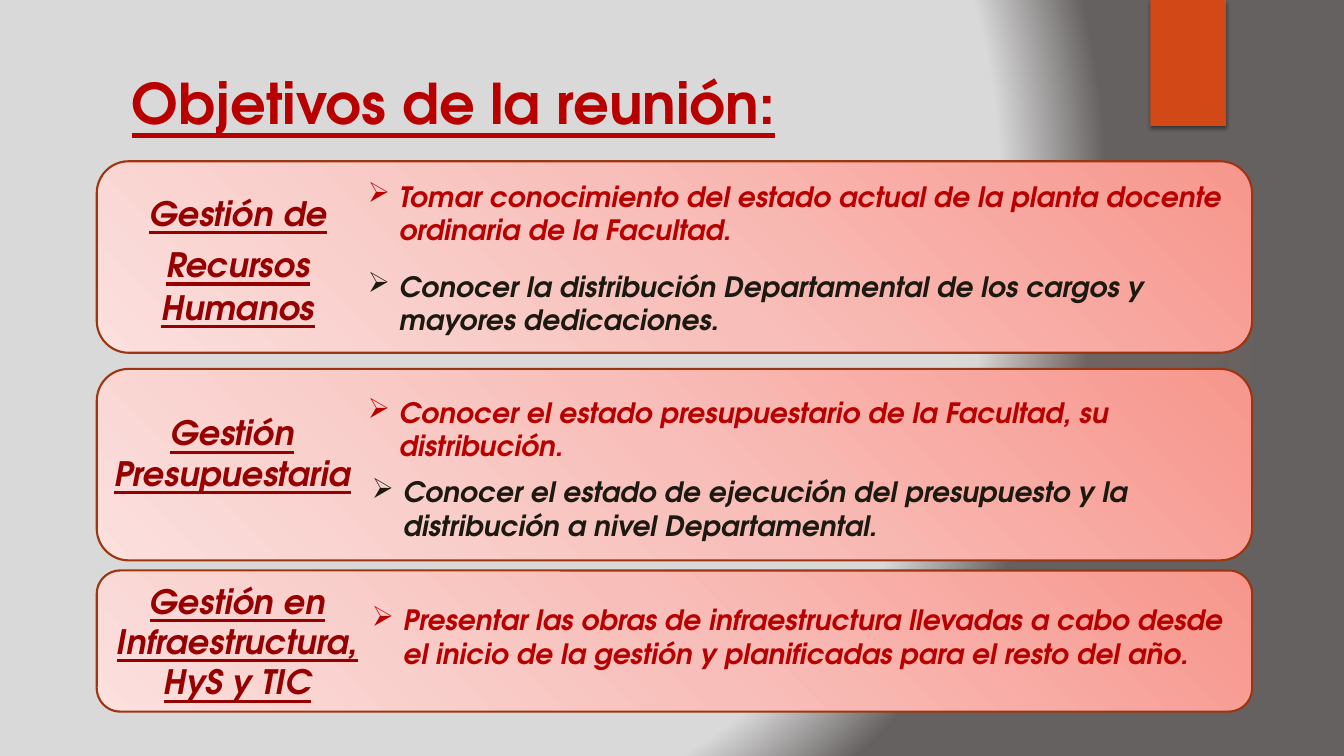
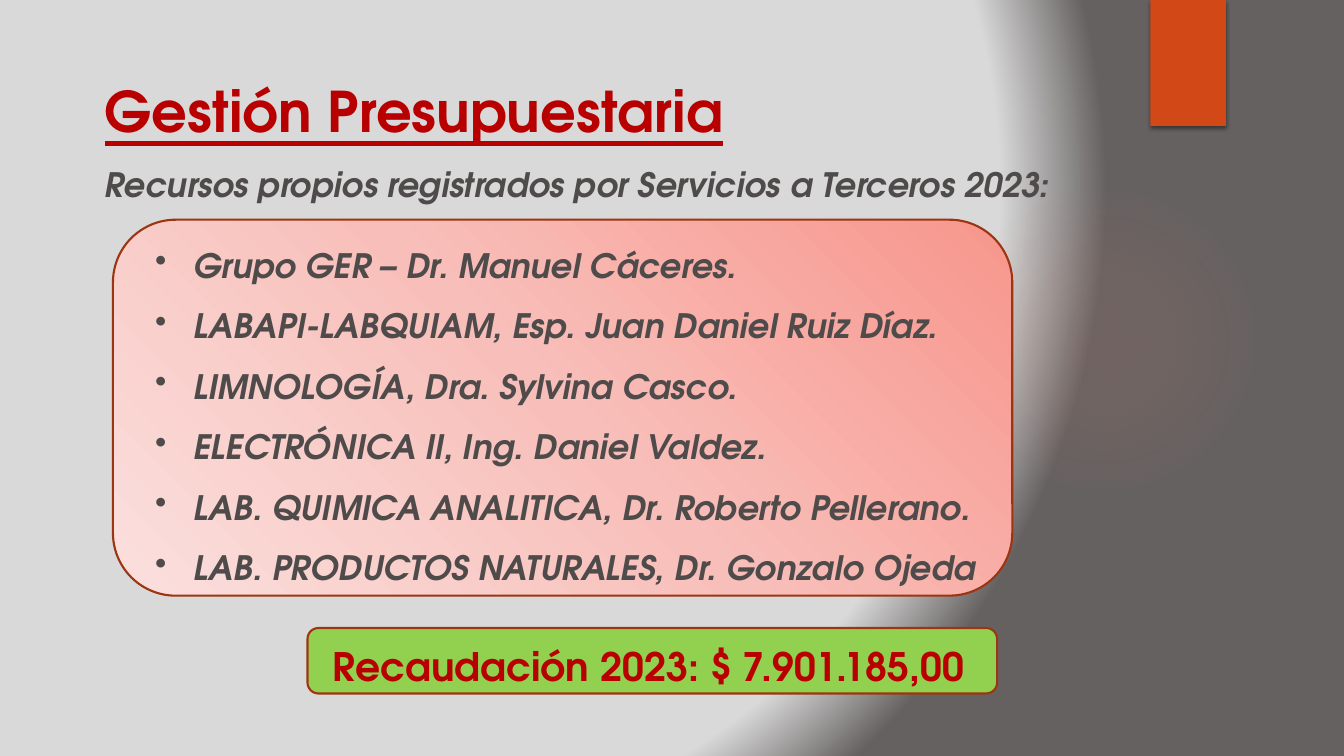
import pptx
import pptx.util
import pptx.oxml
import pptx.oxml.ns
import pptx.dml.color
import pptx.enum.shapes
import pptx.enum.text

Inches = pptx.util.Inches
Pt = pptx.util.Pt
RGBColor = pptx.dml.color.RGBColor
SHAPE = pptx.enum.shapes.MSO_SHAPE
ALIGN = pptx.enum.text.PP_ALIGN
qn = pptx.oxml.ns.qn
NAMESPACE = pptx.oxml.ns.nsdecls("a")

FONT = "TeX Gyre Adventor"
RED = RGBColor(0xB8, 0x00, 0x00)
DARK_RED = RGBColor(0x96, 0x00, 0x00)
INK = RGBColor(0x1C, 0x19, 0x11)
GREY = RGBColor(0x4F, 0x4B, 0x4B)
ORANGE = RGBColor(0xD3, 0x48, 0x17)
BROWN = RGBColor(0x9C, 0x35, 0x11)
GREEN = RGBColor(0x92, 0xD0, 0x50)
LIGHT_GREY = RGBColor(0xD9, 0xD9, 0xD9)
DARK_GREY = RGBColor(0x66, 0x61, 0x61)
GLOW = RGBColor(0xEF, 0x8C, 0x6A)
CORAL = RGBColor(0xF7, 0x96, 0x8C)
PINK = RGBColor(0xF8, 0xBF, 0xBA)
PALE_PINK = RGBColor(0xFB, 0xE0, 0xDE)


def set_gradient(fill, owner, stops, angle=None, focus=None):
    """Stops are (position, colour, opacity) in percent; focus is left, top, right, bottom."""
    fill.solid()
    stop_xml = "".join(
        f'<a:gs pos="{position * 1000}"><a:srgbClr val="{color}">'
        f'<a:alpha val="{opacity * 1000}"/></a:srgbClr></a:gs>'
        for position, color, opacity in stops)
    if focus:
        sides = " ".join(f'{side}="{value * 1000}"' for side, value in zip("ltrb", focus))
        direction = f'<a:path path="circle"><a:fillToRect {sides}/></a:path>'
    else:
        direction = f'<a:lin ang="{angle * 60000}" scaled="0"/>'
    gradient = pptx.oxml.parse_xml(
        f'<a:gradFill {NAMESPACE} rotWithShape="1"><a:gsLst>{stop_xml}</a:gsLst>'
        f'{direction}</a:gradFill>')
    owner.replace(owner.find(qn("a:solidFill")), gradient)


def write_text(page, text, at, size=24, color=RED, italic=True, underline=False,
               align=ALIGN.LEFT, bullet=None, indent=0, spacing=None):
    """Text is a string or a list of paragraphs; a paragraph may be a list of (text, size)."""
    box = page.shapes.add_textbox(*[Inches(value) for value in at])
    frame = box.text_frame
    frame.word_wrap = True
    for index, content in enumerate(text if isinstance(text, list) else [text]):
        para = frame.add_paragraph() if index else frame.paragraphs[0]
        para.alignment = align
        if spacing:
            para.line_spacing = spacing
        if bullet:
            properties = para._p.get_or_add_pPr()
            properties.set("marL", str(Inches(indent)))
            properties.set("indent", str(-Inches(indent)))
            properties.append(pptx.oxml.parse_xml(f'<a:buChar {NAMESPACE} char="{bullet}"/>'))
        for words, points in [(content, size)] if isinstance(content, str) else content:
            span = para.add_run()
            span.text = words
            span.font.name = FONT
            span.font.size = Pt(points)
            span.font.bold = True
            span.font.italic = italic
            span.font.underline = underline
            span.font.color.rgb = color


deck = pptx.Presentation()
deck.slide_width = Inches(13.33)
deck.slide_height = Inches(7.5)

# Shared background
master = deck.slide_master
background_fill = master.background.fill
background_fill.solid()
set_gradient(background_fill, master.element.find(".//" + qn("p:bgPr")),
             [(86, LIGHT_GREY, 100), (100, DARK_GREY, 100)], focus=(50, 50, 100, 100))

# Shared glow and orange tab
goals, budget = pages = [deck.slides.add_slide(deck.slide_layouts[6]) for _ in range(2)]
for page in pages:
    glow = page.shapes.add_shape(SHAPE.OVAL, Inches(9.41), Inches(1.83), Inches(3.08), Inches(3.08))
    glow.shadow.inherit = False
    glow.line.fill.background()
    set_gradient(glow.fill, glow.element.spPr,
                 [(0, GLOW, 7), (36, GLOW, 6), (69, GLOW, 0)], focus=(50, 50, 50, 50))
    tab = page.shapes.add_shape(SHAPE.RECTANGLE, Inches(11.41), 0, Inches(0.75), Inches(1.25))
    tab.shadow.inherit = False
    tab.fill.solid()
    tab.fill.fore_color.rgb = ORANGE
    tab.line.fill.background()
    tab.element.spPr.find(qn("a:effectLst")).append(pptx.oxml.parse_xml(
        f'<a:outerShdw {NAMESPACE} blurRad="{Pt(3)}" dist="{Pt(2)}" dir="5400000" rotWithShape="0">'
        '<a:srgbClr val="000000"><a:alpha val="45000"/></a:srgbClr></a:outerShdw>'))

# Rounded panels: page, position, solid colour or None for the pink gradient
panels = [
    (goals, (0.96, 5.66, 11.46, 1.4), None),
    (goals, (0.96, 3.66, 11.46, 1.9), None),
    (goals, (0.96, 1.6, 11.46, 1.9), None),
    (budget, (1.12, 2.18, 8.92, 3.73), None),
    (budget, (3.05, 6.23, 6.84, 0.65), GREEN),
]
for page, at, color in panels:
    panel = page.shapes.add_shape(SHAPE.ROUNDED_RECTANGLE, *[Inches(value) for value in at])
    panel.shadow.inherit = False
    panel.line.color.rgb = BROWN
    panel.line.width = Pt(1.5)
    if color:
        panel.fill.solid()
        panel.fill.fore_color.rgb = color
    else:
        set_gradient(panel.fill, panel.element.spPr,
                     [(0, CORAL, 100), (50, PINK, 100), (100, PALE_PINK, 100)], angle=135)

# Titles
for page, title, at in [(goals, "Objetivos de la reunión:", (1.21, 0.63, 7.13, 0.98)),
                        (budget, "Gestión Presupuestaria", (0.94, 0.71, 9.27, 0.87))]:
    write_text(page, title, at, size=40, italic=False, underline=True)

# Slide 1: areas and their goals
areas = [
    ([[("Gestión de Recursos", 24), (" ", 32), ("Humanos", 24)]], (1.32, 1.86, 2.08, 1.45)),
    ("Gestión Presupuestaria", (0.96, 4.04, 2.69, 0.91)),
    ("Gestión en Infraestructura, HyS y TIC", (1.01, 5.71, 2.69, 1.31)),
]
for area, at in areas:
    write_text(goals, area, at, color=DARK_RED, underline=True, align=ALIGN.CENTER)

area_goals = [
    ("Tomar conocimiento del estado actual de la planta docente ordinaria de la Facultad.",
     RED, (3.55, 1.73, 8.87, 0.77)),
    ("Conocer la distribución Departamental de los cargos y mayores dedicaciones.",
     INK, (3.55, 2.62, 8.78, 0.77)),
    ("Conocer el estado presupuestario de la Facultad, su distribución.",
     RED, (3.55, 3.87, 7.89, 0.77)),
    ("Conocer el estado de ejecución del presupuesto y la distribución a nivel Departamental.",
     INK, (3.59, 4.66, 8.46, 0.77)),
    ("Presentar las obras de infraestructura llevadas a cabo desde el inicio de la gestión "
     "y planificadas para el resto del año.", RED, (3.59, 5.93, 8.8, 0.77)),
]
for goal, color, at in area_goals:
    write_text(goals, goal, at, size=20, color=color, bullet="➢", indent=0.31)

# Slide 2: own resources and total
write_text(budget, "Recursos propios registrados por Servicios a Terceros 2023:",
           (0.94, 1.58, 10.04, 0.5), color=GREY)
groups = [
    "Grupo GER – Dr. Manuel Cáceres.",
    "LABAPI-LABQUIAM, Esp. Juan Daniel Ruiz Díaz.",
    "LIMNOLOGÍA, Dra. Sylvina Casco.",
    "ELECTRÓNICA II, Ing. Daniel Valdez.",
    "LAB. QUIMICA ANALITICA, Dr. Roberto Pellerano.",
    "LAB. PRODUCTOS NATURALES, Dr. Gonzalo Ojeda",
]
write_text(budget, groups, (1.44, 2.18, 8.6, 3.74), color=GREY,
           bullet="•", indent=0.38, spacing=1.5)
write_text(budget, "Recaudación 2023: $ 7.901.185,00", (3.2, 6.32, 7.24, 0.76),
           size=28, italic=False)

deck.save("out.pptx")
